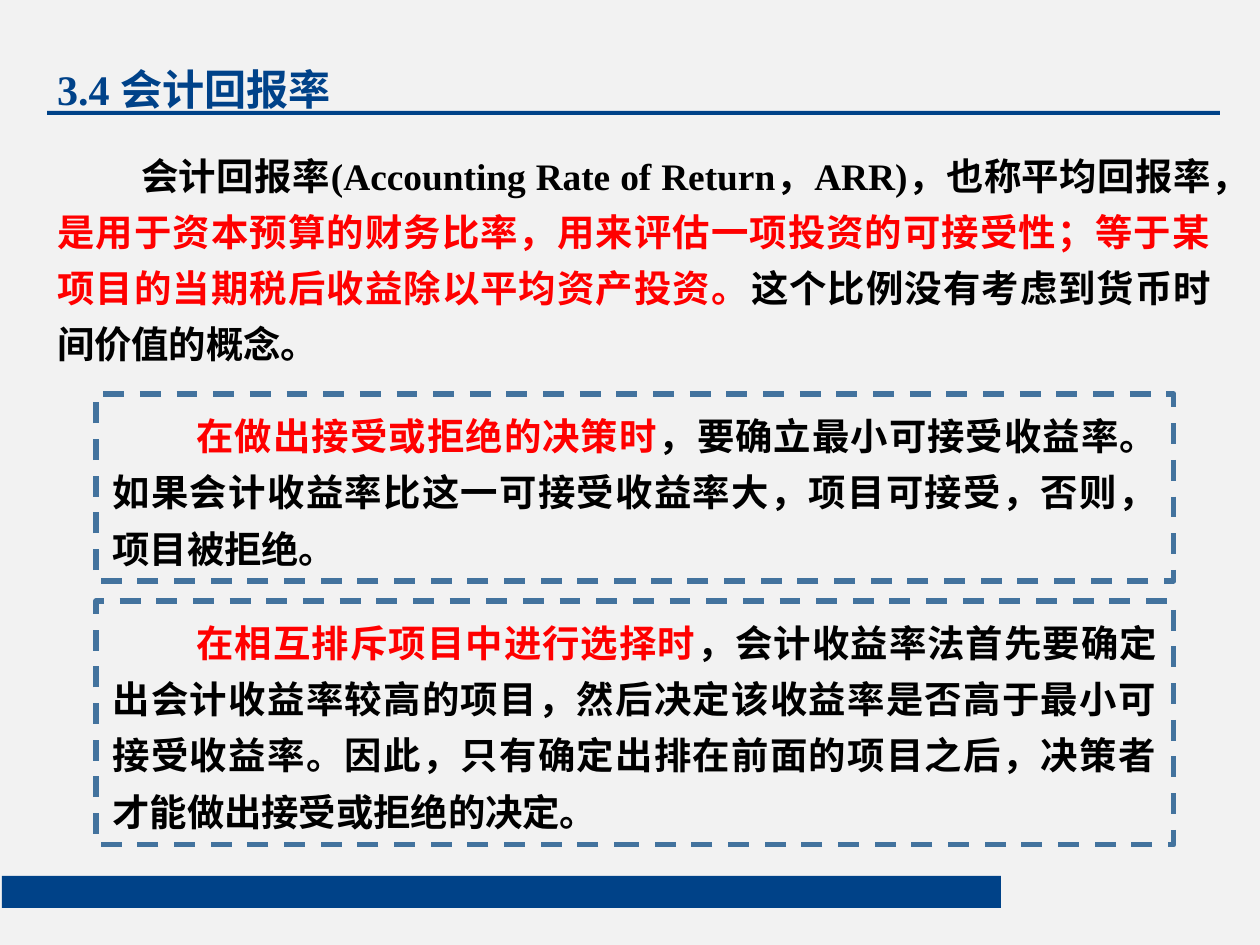
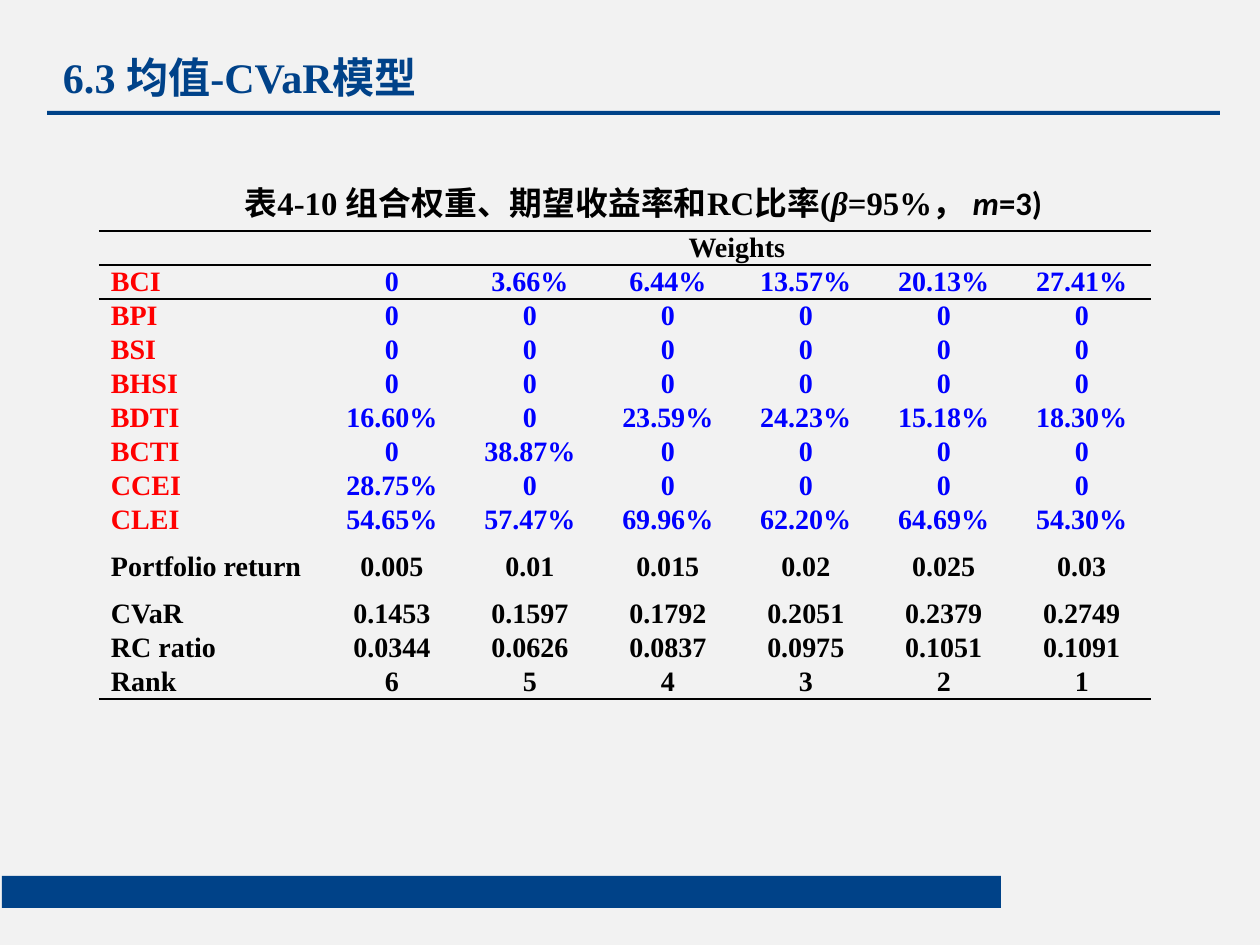
from lxml.etree import SubElement
from pptx import Presentation
from pptx.dml.color import RGBColor
from pptx.enum.dml import MSO_LINE
from pptx.enum.lang import MSO_LANGUAGE_ID
from pptx.enum.shapes import MSO_SHAPE
from pptx.enum.text import MSO_ANCHOR, PP_ALIGN
from pptx.oxml import parse_xml
from pptx.oxml.ns import nsdecls, qn
from pptx.util import Pt

PX = 5430
RECTANGLE = MSO_SHAPE.RECTANGLE
DASH = MSO_LINE.DASH
TOP, MIDDLE, BOTTOM = MSO_ANCHOR.TOP, MSO_ANCHOR.MIDDLE, MSO_ANCHOR.BOTTOM
LEFT, CENTER, JUSTIFY = PP_ALIGN.LEFT, PP_ALIGN.CENTER, PP_ALIGN.JUSTIFY

PAPER = RGBColor(0xF2, 0xF2, 0xF2)
NAVY = RGBColor(0x00, 0x42, 0x88)
TITLE_BLUE = RGBColor(0x00, 0x42, 0x89)
FRAME_BLUE = RGBColor(0x43, 0x73, 0x9E)
BLACK = RGBColor(0x00, 0x00, 0x00)
RED = RGBColor(0xFF, 0x00, 0x00)
BLUE = RGBColor(0x00, 0x00, 0xFF)

BASE_FONT = {"name": "Times New Roman", "bold": True,
             "language_id": MSO_LANGUAGE_ID.SIMPLIFIED_CHINESE}
PLACEHOLDER_INSETS = {"margin_left": 12 * PX, "margin_right": 12 * PX,
                      "margin_top": 7 * PX, "margin_bottom": 7 * PX}
CELL_FORMAT = {"margin_left": 12 * PX, "margin_right": 12 * PX,
               "margin_top": 0, "margin_bottom": 0, "vertical_anchor": MIDDLE}


def set_attributes(target, values):
    for name, value in values.items():
        setattr(target, name, value)


def write_runs(paragraph, size, alignment, runs):
    paragraph.alignment = alignment
    for text, color, *extra in runs:
        run = paragraph.add_run()
        run.text = text
        set_attributes(run.font, BASE_FONT | {"size": Pt(size)})
        run.font.color.rgb = color
        for values in extra:
            set_attributes(run.font, values)


prs = Presentation()
prs.slide_width, prs.slide_height = 1260 * PX, 945 * PX
master = prs.slide_master
master.background.fill.solid()
master.background.fill.fore_color.rgb = PAPER

TITLES = [("3.4 会计回报率", (45, 35, 318, 86)),
          ("6.3 均值-CVaR模型", (51, 35, 835, 74))]
slides = []
for heading, box in TITLES:
    slide = prs.slides.add_slide(prs.slide_layouts[5])
    title = slide.shapes.title
    set_attributes(title, dict(zip(("left", "top", "width", "height"), [n * PX for n in box])))
    set_attributes(title.text_frame, PLACEHOLDER_INSETS | {"word_wrap": True, "vertical_anchor": BOTTOM})
    write_runs(title.text_frame.paragraphs[0], 18, LEFT, [(heading, TITLE_BLUE)])
    slides.append(slide)
arr_slide, cvar_slide = slides

BANDS = [(2, 876, 999, 32), (47, 111, 1173, 4)]
for band_id, box in enumerate(BANDS, 101):
    band = arr_slide.shapes.add_shape(RECTANGLE, *[n * PX for n in box])
    band.shadow.inherit = False
    band.fill.solid()
    band.fill.fore_color.rgb = NAVY
    band.line.fill.background()
    band.element.xpath(".//p:cNvPr")[0].set("id", str(band_id))
    master.shapes.element.append(band.element)

definition = arr_slide.shapes.add_textbox(*[n * PX for n in (45, 135, 1179, 239)])
set_attributes(definition.text_frame, PLACEHOLDER_INSETS)
passages = [(definition, [
    ("会计回报率(Accounting Rate of Return，ARR)，也称平均回报率，", BLACK),
    ("是用于资本预算的财务比率，用来评估一项投资的可接受性；等于某项目的当期税后收益除以平均资产投资。", RED),
    ("这个比例没有考虑到货币时间价值的概念。", BLACK)])]

RULES = [
    (394, 187, "在做出接受或拒绝的决策时",
     "，要确立最小可接受收益率。如果会计收益率比这一可接受收益率大，项目可接受，否则，项目被拒绝。"),
    (601, 244, "在相互排斥项目中进行选择时",
     "，会计收益率法首先要确定出会计收益率较高的项目，然后决定该收益率是否高于最小可接受收益率。"
     "因此，只有确定出排在前面的项目之后，决策者才能做出接受或拒绝的决定。")]
for top, height, situation, advice in RULES:
    rule = arr_slide.shapes.add_shape(RECTANGLE, *[n * PX for n in (96, top, 1078, height)])
    rule.shadow.inherit = False
    rule.fill.background()
    rule.line.color.rgb = FRAME_BLUE
    set_attributes(rule.line, {"width": Pt(2.25), "dash_style": DASH})
    passages.append((rule, [(situation, RED), (advice, BLACK)]))

for holder, runs in passages:
    set_attributes(holder.text_frame, {"word_wrap": True, "vertical_anchor": TOP})
    paragraph = holder.text_frame.paragraphs[0]
    write_runs(paragraph, 16, JUSTIFY, runs)
    paragraph.line_spacing = 1.25
    paragraph._p.get_or_add_pPr().set("indent", str(84 * PX))

WEIGHTS = [
    ["", "Weights", "", "", "", "", ""],
    ["BCI", "0", "3.66%", "6.44%", "13.57%", "20.13%", "27.41%"],
    ["BPI"] + ["0"] * 6,
    ["BSI"] + ["0"] * 6,
    ["BHSI"] + ["0"] * 6,
    ["BDTI", "16.60%", "0", "23.59%", "24.23%", "15.18%", "18.30%"],
    ["BCTI", "0", "38.87%", "0", "0", "0", "0"],
    ["CCEI", "28.75%", "0", "0", "0", "0", "0"],
    ["CLEI", "54.65%", "57.47%", "69.96%", "62.20%", "64.69%", "54.30%"],
    ["Portfolio return", "0.005", "0.01", "0.015", "0.02", "0.025", "0.03"],
    ["CVaR", "0.1453", "0.1597", "0.1792", "0.2051", "0.2379", "0.2749"],
    ["RC ratio", "0.0344", "0.0626", "0.0837", "0.0975", "0.1051", "0.1091"],
    ["Rank", "6", "5", "4", "3", "2", "1"]]
RETURN_ROW = 9
LAST_ROW = len(WEIGHTS) - 1
BORDER = ('<a:{} {} w="12700"><a:solidFill><a:srgbClr val="000000"/></a:solidFill></a:{}>')

frame = cvar_slide.shapes.add_table(len(WEIGHTS), 7, *[n * PX for n in (99, 231, 1052, 468)])
weights = frame.table
set_attributes(weights, {"first_row": False, "horz_banding": False})
frame.element.xpath(".//a:tableStyleId")[0].text = "{2D5ABB26-0587-4C30-8999-92F81FD0307C}"
for column_index, column in enumerate(weights.columns):
    column.width = (138 if column_index else 224) * PX
for row_index, values in enumerate(WEIGHTS):
    weights.rows[row_index].height = (60 if row_index == RETURN_ROW else 34) * PX
    edges = [edge for edge, rows in (("lnT", (0, 1)), ("lnB", (0, LAST_ROW))) if row_index in rows]
    for column_index, value in enumerate(values):
        cell = weights.cell(row_index, column_index)
        set_attributes(cell, CELL_FORMAT)
        cell.fill.background()
        paragraph = cell.text_frame.paragraphs[0]
        color = BLACK
        if 0 < row_index < RETURN_ROW:
            color = BLUE if column_index else RED
        if value:
            write_runs(paragraph, 12, CENTER if column_index else JUSTIFY, [(value, color)])
        else:
            SubElement(paragraph._p, qn("a:endParaRPr"), sz="1200")
        properties = cell._tc.get_or_add_tcPr()
        for position, edge in enumerate(edges):
            properties.insert(position, parse_xml(BORDER.format(edge, nsdecls("a"), edge)))
weights.cell(0, 1).merge(weights.cell(0, 6))

caption = cvar_slide.shapes.add_textbox(*[n * PX for n in (86, 175, 1115, 57)])
caption.text_frame.word_wrap = True
write_runs(caption.text_frame.paragraphs[0], 14, CENTER, [
    ("表4-10 组合权重、期望收益率和RC比率(", BLACK),
    ("β", BLACK, {"italic": True}),
    ("=95%， ", BLACK),
    ("m", BLACK, {"name": "Calibri", "italic": True}),
    ("=3)", BLACK, {"name": "Calibri"})])

prs.save("out.pptx")
